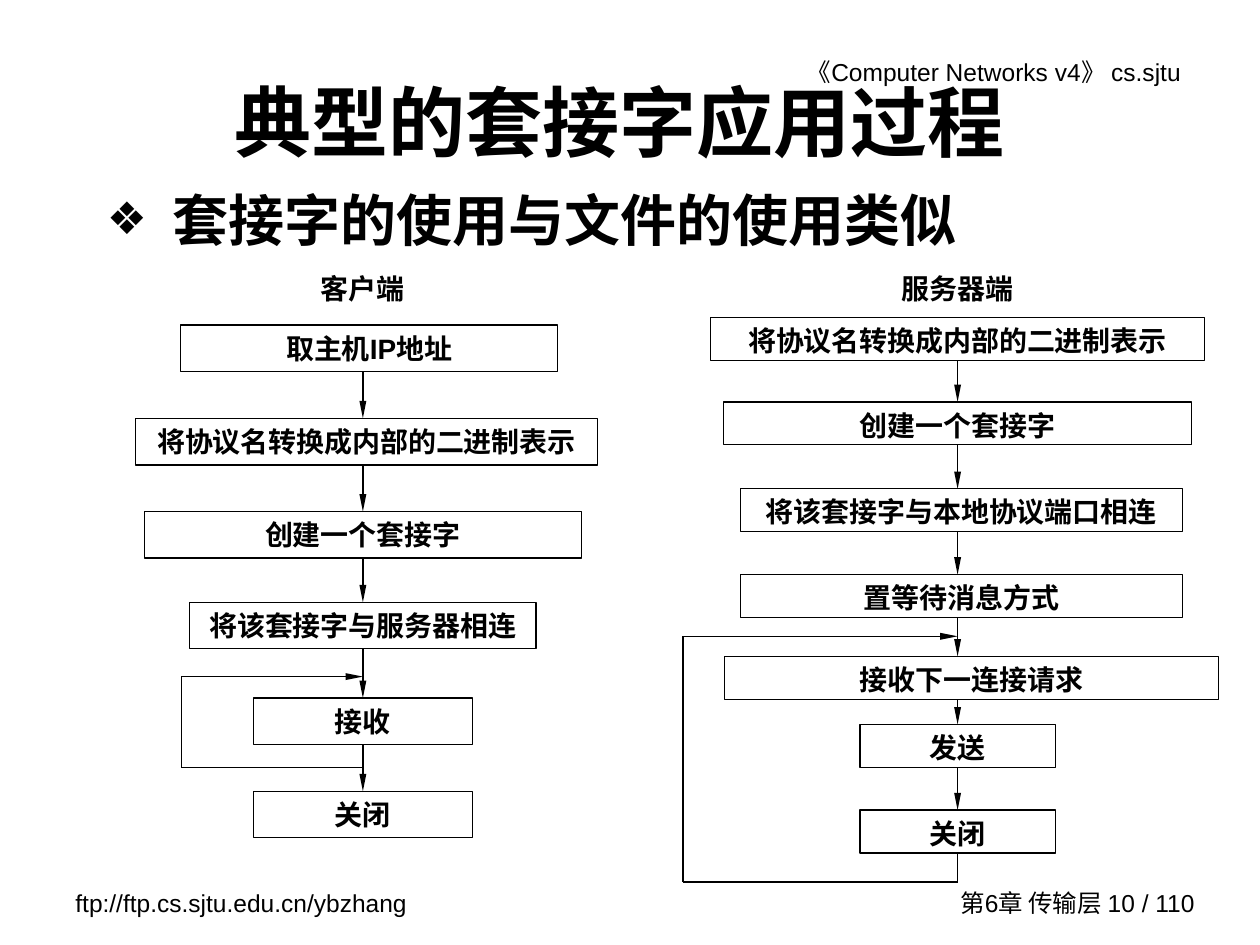
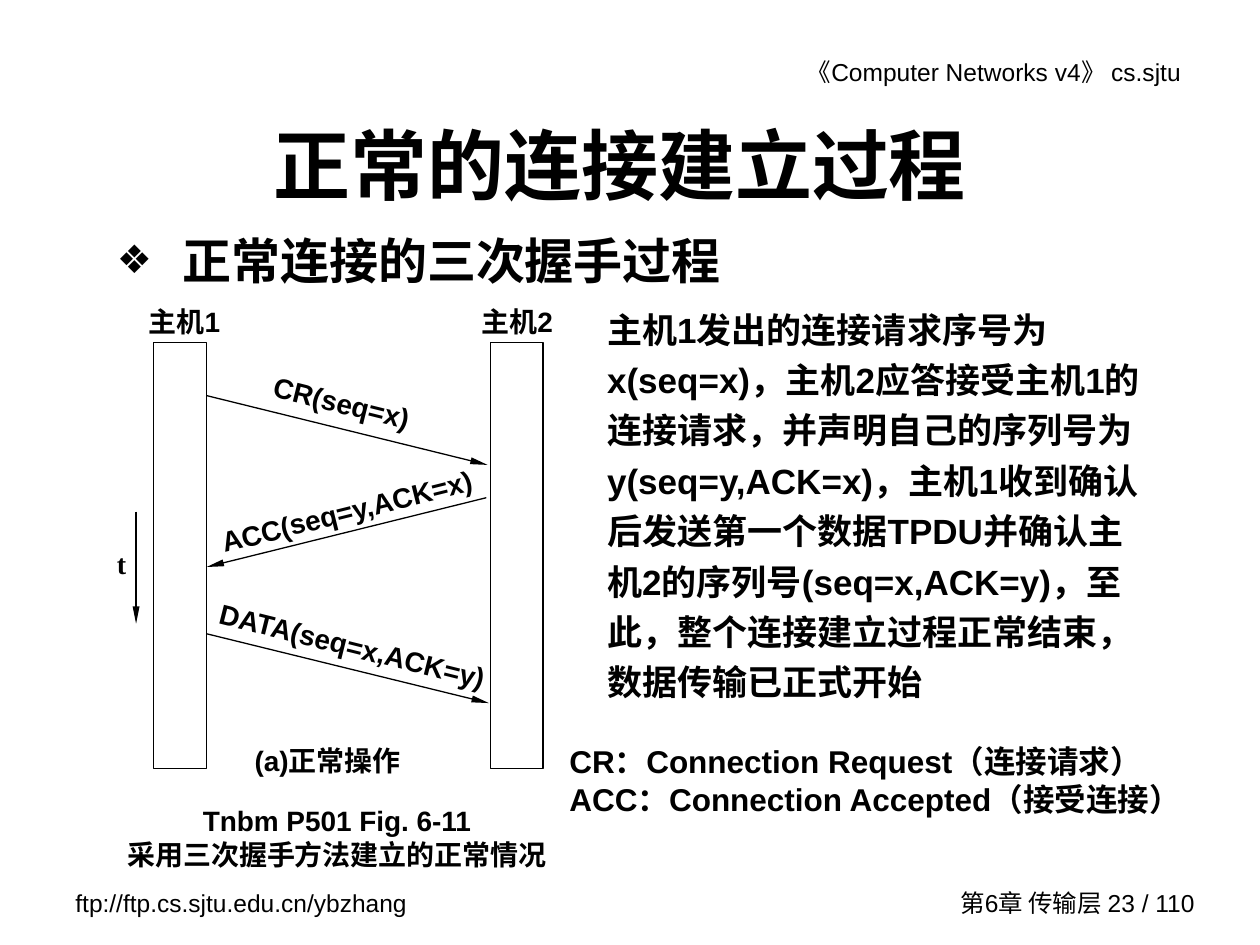
"""Build two lecture slides on sockets and connection setup."""
from itertools import pairwise

from lxml import etree
from pptx import Presentation
from pptx.dml.color import RGBColor
from pptx.enum.shapes import MSO_CONNECTOR, MSO_SHAPE
from pptx.enum.text import MSO_ANCHOR, PP_ALIGN
from pptx.oxml.ns import qn
from pptx.util import Inches, Pt

RECT, LINE = MSO_SHAPE.RECTANGLE, MSO_CONNECTOR.STRAIGHT
LEFT, MID, RIGHT, JUST = PP_ALIGN.LEFT, PP_ALIGN.CENTER, PP_ALIGN.RIGHT, PP_ALIGN.JUSTIFY
TOP, CENTER = MSO_ANCHOR.TOP, MSO_ANCHOR.MIDDLE
BOTTOM_SIDE, TOP_SIDE = 2, 0


class Theme:
    """Colours, fonts and sizes of both slides."""
    ink = RGBColor(0, 0, 0)
    sans, han, serif = "Arial", "Noto Sans CJK SC", "Times New Roman"
    title, foot, label, note, key = 44, 14, 16, 20, 18
    line = 0.75


COLS, ROWS = 10, 7.5
UNIT = Inches(1)
PAD = (0.1, 0.05)

HEAD = "《Computer Networks v4》 cs.sjtu"
SITE = "ftp://ftp.cs.sjtu.edu.cn/ybzhang"
PAGE = "第6章 传输层 {} / 110"

FLOWS = [
    {
        "name": "客户端", "axis": 2.88, "high": 0.37, "wide": 1.74,
        "steps": [
            ([("取主机", Theme.han), ("IP", Theme.sans), ("地址", Theme.han)], 0.05, 2.58, 2.99),
            ("将协议名转换成内部的二进制表示", 0.03, 3.32, 3.67),
            ("创建一个套接字", 0, 4.06, 3.47),
            ("将该套接字与服务器相连", 0, 4.78, 2.75),
            ("接收", 0, 5.54, 1.74),
            ("关闭", 0, 6.28, 1.74),
        ],
        "loop": [(2.88, 6.09), (1.44, 6.09), (1.44, 5.37), (2.88, 5.37)],
    },
    {
        "name": "服务器端", "axis": 7.6, "high": 0.34, "wide": 1.86,
        "steps": [
            ("将协议名转换成内部的二进制表示", 0, 2.52, 3.92),
            ("创建一个套接字", 0, 3.19, 3.71),
            ("将该套接字与本地协议端口相连", 0.03, 3.88, 3.51),
            ("置等待消息方式", 0.03, 4.56, 3.51),
            ("接收下一连接请求", 0.11, 5.21, 3.92),
            ("发送", 0, 5.75, 1.55),
            ("关闭", 0, 6.43, 1.55),
        ],
        "loop": [(7.6, 6.77), (7.6, 7), (5.42, 7), (5.42, 5.05), (7.6, 5.05)],
    },
]

HOSTS = [("主机1", 1.22, 1.06), ("主机2", 3.89, 3.7)]
SENDS = [
    ("CR(seq=x)", (1.64, 3.14), (3.87, 3.69), (1.98, 3.01, 1.46, 0.38), 14),
    ("ACC(seq=y,ACK=x)", (3.86, 3.95), (1.64, 4.5), (1.63, 3.86, 2.24, 0.39), -14),
    ("DATA(seq=x,ACK=y)", (1.64, 5.03), (3.88, 5.58), (1.56, 4.94, 2.47, 0.38), 14),
]
STORY = (
    "主机1发出的连接请求序号为x(seq=x)，主机2应答接受主机1的连接请求，"
    "并声明自己的序列号为y(seq=y,ACK=x)，主机1收到确认后发送第一个数据TPDU"
    "并确认主机2的序列号(seq=x,ACK=y)，至此，整个连接建立过程正常结束，"
    "数据传输已正式开始"
)
KEYS = ["CR：Connection Request（连接请求）", "ACC：Connection Accepted（接受连接）"]
FIGURE = ["Tnbm P501 Fig. 6-11", "采用三次握手方法建立的正常情况"]


def span(*vals):
    return [round(val * UNIT) for val in vals]


def mark(para):
    props = para._p.get_or_add_pPr()
    props.set("marL", str(Inches(0.52)))
    props.set("indent", str(-Inches(0.52)))
    tint = etree.SubElement(props, qn("a:buClr"))
    etree.SubElement(tint, qn("a:srgbClr"), val=str(Theme.ink))
    etree.SubElement(props, qn("a:buSzPct"), val="80000")
    etree.SubElement(props, qn("a:buFont"), typeface=Theme.sans)
    etree.SubElement(props, qn("a:buChar"), char="❖")


def write(slide, text, place, *, size=Theme.label, font=Theme.sans, bold=True,
          align=MID, anchor=TOP, gap=None, turn=0, bullet=False, shape=None, pad=PAD):
    """Write lines, or a list of (text, font) runs, into a box."""
    box = shape or slide.shapes.add_textbox(*span(*place))
    box.rotation = turn
    frame = box.text_frame
    frame.word_wrap = True
    frame.vertical_anchor = anchor
    frame.margin_left = frame.margin_right = Inches(pad[0])
    frame.margin_top = frame.margin_bottom = Inches(pad[1])
    lines = [text] if isinstance(text, str) else text
    if isinstance(lines[0], tuple):
        lines = [lines]
    for row, line in enumerate(lines):
        para = frame.add_paragraph() if row else frame.paragraphs[0]
        para.alignment = align
        if gap:
            para.line_spacing = gap
        if bullet:
            mark(para)
        for part, face in [(line, font)] if isinstance(line, str) else line:
            run = para.add_run()
            run.text = part
            run.font.name, run.font.size, run.font.bold = face, Pt(size), bold
            run.font.color.rgb = Theme.ink
    return box


def frame_box(slide, place):
    box = slide.shapes.add_shape(RECT, *span(*place))
    box.shadow.inherit = False
    box.fill.background()
    box.line.color.rgb = Theme.ink
    box.line.width = Pt(Theme.line)
    return box


def link(slide, start, end, arrow=True):
    wire = slide.shapes.add_connector(LINE, *span(*start, *end))
    wire.line.color.rgb = Theme.ink
    wire.line.width = Pt(Theme.line)
    if arrow:
        etree.SubElement(wire.line._get_or_add_ln(), qn("a:tailEnd"),
                         type="triangle", w="sm", len="lg")
    etree.SubElement(wire._element.spPr, qn("a:effectLst"))
    return wire


def base(deck, page, title, spot, lead, place, size):
    slide = deck.slides.add_slide(deck.slide_layouts[6])
    foot = {"size": Theme.foot, "bold": False}
    write(slide, HEAD, (5.16, 0.4, 4.31, 0.34), align=RIGHT, **foot)
    write(slide, SITE, (0.5, 7, 2.92, 0.34), align=LEFT, **foot)
    write(slide, PAGE.format(page), (7.32, 7, 2.26, 0.33), align=RIGHT, anchor=CENTER, **foot)
    write(slide, title, spot, size=Theme.title, anchor=CENTER)
    write(slide, lead, place, size=size, align=LEFT, bullet=True)
    return slide


def draw_flow(slide, flow):
    axis, high, wide = flow["axis"], flow["high"], flow["wide"]
    write(slide, flow["name"], (axis - wide / 2, 2.11, wide, high), font=Theme.han)
    boxes = []
    for text, shift, top, width in flow["steps"]:
        place = (axis + shift - width / 2, top, width, high)
        box = frame_box(slide, place)
        write(slide, text, place, shape=box, font=Theme.han)
        boxes.append((box, shift, top))
    for (upper, near, top), (lower, far, end) in pairwise(boxes):
        wire = link(slide, (axis, top + high), (axis, end))
        if not near:
            wire.begin_connect(upper, BOTTOM_SIDE)
        if not far:
            wire.end_connect(lower, TOP_SIDE)
    turns = list(pairwise(flow["loop"]))
    wires = [link(slide, *turn, arrow=turn == turns[-1]) for turn in turns]
    last, _, top = boxes[-1]
    if flow["loop"][0][1] >= top + high:
        wires[0].begin_connect(last, BOTTOM_SIDE)


def draw_shake(slide):
    for name, left, edge in HOSTS:
        frame_box(slide, (left, 2.72, 0.42, 3.38))
        write(slide, name, (edge, 2.37, 0.81, 0.38))
    for text, start, end, place, turn in SENDS:
        link(slide, start, end)
        flat = turn < 0
        write(slide, text, place, turn=turn, anchor=CENTER if flat else TOP,
              pad=(0, 0.05) if flat else PAD)
    link(slide, (1.08, 4.06), (1.08, 4.95))
    write(slide, "t", (0.83, 4.29, 0.32, 0.38), font=Theme.serif, align=JUST)
    write(slide, "(a)正常操作", (1.87, 5.85, 1.46, 0.41))
    write(slide, FIGURE, (0.83, 6.33, 3.69, 0.58))
    write(slide, STORY, (4.72, 2.33, 4.53, 3.3), size=Theme.note, align=LEFT, gap=1.2)
    write(slide, KEYS, (4.42, 5.84, 5.15, 1), size=Theme.key, align=LEFT)


def main():
    deck = Presentation()
    deck.slide_width, deck.slide_height = span(COLS, ROWS)
    socket = base(deck, 10, "典型的套接字应用过程", (0.67, 0.5, 8.5, 0.92),
                  "套接字的使用与文件的使用类似", (0.75, 1.42, 8.5, 0.67), 32)
    for flow in FLOWS:
        draw_flow(socket, flow)
    shake = base(deck, 23, "正常的连接建立过程", (0.67, 0.67, 8.5, 1.25),
                 [("正常连接的", Theme.sans), ("三次握手过程", Theme.serif)],
                 (0.83, 1.78, 5.47, 0.63), 28)
    draw_shake(shake)
    deck.save("out.pptx")


if __name__ == "__main__":
    main()
